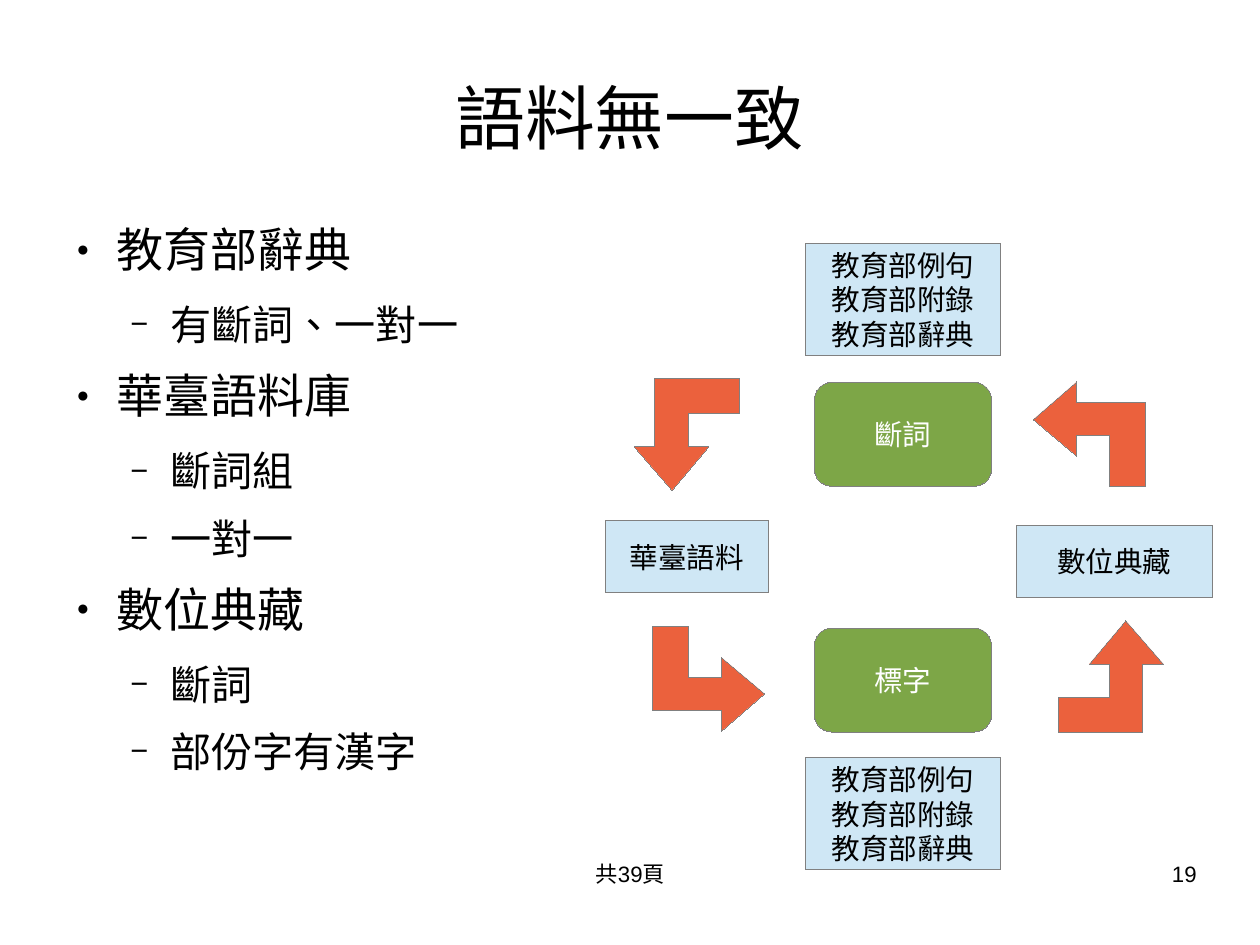
import pptx
import pptx.util
import pptx.dml.color
import pptx.enum.shapes
import pptx.enum.text
from lxml import etree

Inches, Pt, Cm = pptx.util.Inches, pptx.util.Pt, pptx.util.Cm
Align, Anchor = pptx.enum.text.PP_ALIGN, pptx.enum.text.MSO_ANCHOR
Shape = pptx.enum.shapes.MSO_SHAPE

WIDTH, HEIGHT = Cm(28), Cm(21)
FONT, LANGUAGE = "Arial", "zh-TW"
HAIRLINE = Pt(0.01)
COLORS = {"text": "000000", "light": "FFFFFF", "step": "7DA647",
          "corpus": "CFE7F5", "arrow": "EB613D", "outline": "808080"}

TITLE = "語料無一致"
OUTLINE = [
    ("教育部辭典", ["有斷詞、一對一"]),
    ("華臺語料庫", ["斷詞組", "一對一"]),
    ("數位典藏", ["斷詞", "部份字有漢字"]),
]
MINISTRY = ["教育部例句", "教育部附錄", "教育部辭典"]
FOOTERS = [("共39頁", 3.77, 3.49, Align.CENTER), ("19", 7.9, 2.57, Align.RIGHT)]

# Bullet levels: indent, size, space after, bullet, bullet size in percent
LEVELS = [(0.47, 29.6, 14.2, "●", 45), (0.94, 25.9, 11.3, "−", 75)]
HANGING = 0.35

# Cycle diagram: centre lines of its columns and rows
COLUMNS = {"left": 6.01, "middle": 7.9, "right": 9.75}
ROWS = {"top": 2.62, "upper": 3.8, "centre": 4.89, "lower": 5.95, "bottom": 7.12}
KINDS = {
    "step": (Shape.FLOWCHART_ALTERNATE_PROCESS, "light"),
    "corpus": (Shape.FLOWCHART_PROCESS, "text"),
}
NODES = [  # kind, column, row, shift down, width, height, lines
    ("step", "middle", "lower", 0, 1.55, 0.91, ["標字"]),
    ("corpus", "right", "centre", 0.02, 1.71, 0.63, ["數位典藏"]),
    ("corpus", "left", "centre", -0.02, 1.42, 0.63, ["華臺語料"]),
    ("corpus", "middle", "bottom", 0, 1.71, 0.98, MINISTRY),
    ("step", "middle", "upper", 0, 1.55, 0.91, ["斷詞"]),
    ("corpus", "middle", "top", 0, 1.71, 0.98, MINISTRY),
]
ARROWS = [  # column, row, shift to the right, shift down, turn in degrees
    ("left", "lower", 0.19, -0.01, 0),
    ("right", "lower", -0.03, -0.03, 270),
    ("right", "upper", -0.22, 0, 180),
    ("left", "upper", 0, 0, 90),
]
ARROW_SIZE = (0.98, 0.92)
BENT_ARROW = [(0, 0), (31, 0), (31, 45), (60, 45), (60, 27),
              (98, 59), (60, 92), (60, 74), (0, 74)]  # hundredths of an inch


def rgb(name):
    return pptx.dml.color.RGBColor.from_string(COLORS[name])


def set_frame(frame, wrap=True, anchor=Anchor.TOP, sides=0, ends=0):
    settings = {"word_wrap": wrap, "vertical_anchor": anchor,
                "margin_left": Inches(sides), "margin_right": Inches(sides),
                "margin_top": Inches(ends), "margin_bottom": Inches(ends)}
    for name, value in settings.items():
        setattr(frame, name, value)


def write_lines(frame, lines, size, align, color="text"):
    for index, line in enumerate(lines):
        para = frame.add_paragraph() if index else frame.paragraphs[0]
        para.alignment = align
        span = para.add_run()
        span.text = line
        span.font.name, span.font.size = FONT, Pt(size)
        span.font.color.rgb = rgb(color)
        span._r.get_or_add_rPr().set("lang", LANGUAGE)


def add_text(page, left, top, width, height):
    box = page.shapes.add_textbox(*map(Inches, (left, top, width, height)))
    set_frame(box.text_frame)
    return box.text_frame


def set_bullet(para, level):
    indent, _, after, char, percent = LEVELS[level]
    para.level = level
    para.space_after = Pt(after)
    props = para._p.get_or_add_pPr()
    props.set("marL", str(Inches(indent)))
    props.set("indent", str(-Inches(HANGING)))
    space = "{%s}" % props.nsmap["a"]
    color = etree.SubElement(props, space + "buClr")
    etree.SubElement(color, space + "srgbClr", val=COLORS["text"])
    etree.SubElement(props, space + "buSzPct", val=str(percent * 1000))
    etree.SubElement(props, space + "buFont", typeface=FONT)
    etree.SubElement(props, space + "buChar", char=char)


def paint(shape, color):
    shape.shadow.inherit = False
    shape.fill.solid()
    shape.fill.fore_color.rgb = rgb(color)
    shape.line.color.rgb = rgb("outline")
    shape.line.width = HAIRLINE


def corner(column, row, down, width, height):
    """Top left corner of a part centred on a column and a row."""
    return Inches(COLUMNS[column] - width / 2), Inches(ROWS[row] + down - height / 2)


def add_node(page, kind, column, row, down, width, height, lines):
    preset, text_color = KINDS[kind]
    node = page.shapes.add_shape(preset, *corner(column, row, down, width, height),
                                 Inches(width), Inches(height))
    paint(node, kind)
    set_frame(node.text_frame, False, Anchor.MIDDLE, 0.1, 0.05)
    write_lines(node.text_frame, lines, 18, Align.CENTER, text_color)


def add_arrow(page, column, row, right, down, turn):
    builder = page.shapes.build_freeform(*BENT_ARROW[0], scale=Inches(0.01))
    builder.add_line_segments(BENT_ARROW[1:], close=True)
    left, top = corner(column, row, down, *ARROW_SIZE)
    arrow = builder.convert_to_shape(left + Inches(right), top)
    arrow.rotation = turn
    paint(arrow, "arrow")


def main():
    deck = pptx.Presentation()
    deck.slide_width, deck.slide_height = WIDTH, HEIGHT
    page = deck.slides.add_slide(deck.slide_layouts[5])

    title = page.shapes.title
    place = {"left": 0.05, "top": 0.04, "width": 0.9, "height": 1 / 6}
    for name, share in place.items():
        full = WIDTH if name in ("left", "width") else HEIGHT
        setattr(title, name, int(share * full))
    set_frame(title.text_frame, anchor=Anchor.MIDDLE)
    write_lines(title.text_frame, [TITLE], 44, Align.CENTER)

    body = add_text(page, 0.55, 1.93, 9.7, 5.46)
    items = [(text, level) for head, subs in OUTLINE
             for text, level in [(head, 0)] + [(sub, 1) for sub in subs]]
    write_lines(body, [text for text, _ in items], LEVELS[0][1], Align.LEFT)
    for para, (_, level) in zip(body.paragraphs, items):
        para.runs[0].font.size = Pt(LEVELS[level][1])
        set_bullet(para, level)

    for node in NODES:
        add_node(page, *node)
    for arrow in ARROWS:
        add_arrow(page, *arrow)
    for text, left, width, align in FOOTERS:
        write_lines(add_text(page, left, 7.53, width, 0.57), [text], 14, align)

    deck.save("out.pptx")


if __name__ == "__main__":
    main()
